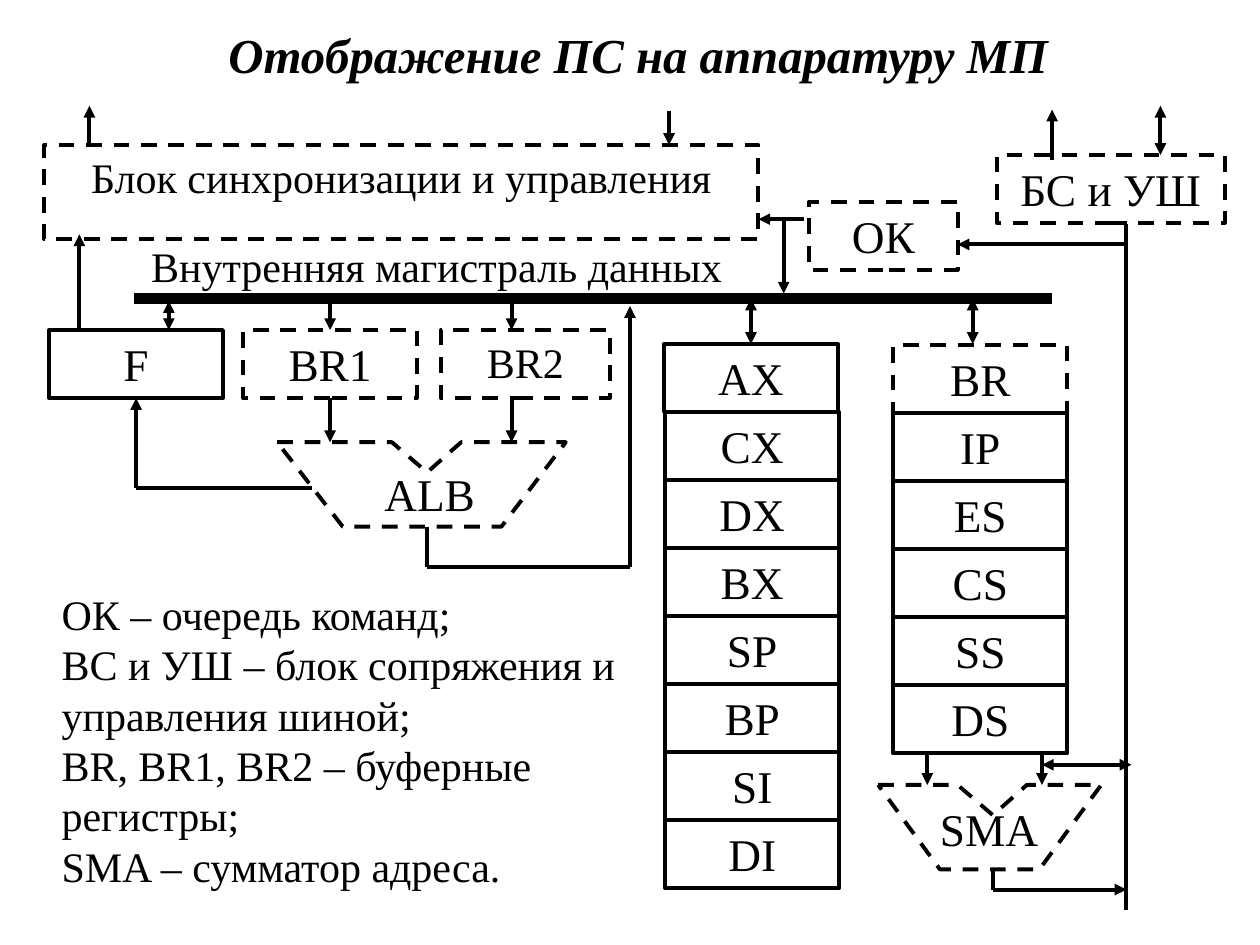
from dataclasses import dataclass
from typing import Optional

from pptx import Presentation
from pptx.dml.color import RGBColor
from pptx.enum.dml import MSO_LINE
from pptx.enum.shapes import MSO_CONNECTOR, MSO_SHAPE
from pptx.enum.text import MSO_ANCHOR, PP_ALIGN
from pptx.oxml.ns import qn
from pptx.util import Inches, Pt
from lxml import etree

RECT = MSO_SHAPE.RECTANGLE
STRAIGHT = MSO_CONNECTOR.STRAIGHT
DASH = MSO_LINE.DASH
CENTER, LEFT = PP_ALIGN.CENTER, PP_ALIGN.LEFT
TOP, MIDDLE = MSO_ANCHOR.TOP, MSO_ANCHOR.MIDDLE
COLORS = {"ink": "000000"}
FONT = "Times New Roman"
REG_W, REG_H = 1.38, 0.54


@dataclass
class Block:
    text: str
    x: float
    y: float
    w: float = REG_W
    h: float = REG_H
    dashed: bool = False
    size: float = 25.9


@dataclass
class Wire:
    x1: float
    y1: float
    x2: float
    y2: float
    head: bool = False
    tail: bool = False
    width: float = 2.25
    start: Optional[tuple[str, int]] = None
    end: Optional[tuple[str, int]] = None


@dataclass
class Label:
    text: str
    x: float
    y: float
    w: float = REG_W
    h: float = REG_H
    size: float = 25.9
    align: PP_ALIGN = CENTER
    anchor: MSO_ANCHOR = TOP
    title: bool = False


def register_stack(names: list[str], x: float, y: float) -> list[Block]:
    """Place registers one under another."""
    return [Block(name, x, y + i * REG_H) for i, name in enumerate(names)]


BLOCKS = [
    *register_stack(["AX"], 5.27, 2.73),
    *register_stack(["CX", "DX", "BX", "SP", "BP", "SI", "DI"], 5.28, 3.27),
    *register_stack(["IP", "ES", "CS", "SS", "DS"], 7.09, 3.28),
    Block("BR", 7.09, 2.74, dashed=True),
    Block("F", 0.39, 2.62),
    Block("BR1", 1.93, 2.62, dashed=True),
    Block("BR2", 3.5, 2.62, w=1.34, dashed=True, size=24),
    Block("ОК", 6.42, 1.6, w=1.18, dashed=True),
    Block("БС и УШ", 7.91, 1.23, w=1.81, dashed=True),
    Block("Блок синхронизации и управления", 0.35, 1.15, 5.67, 0.75, True, 24),
]

WIRES = [
    Wire(8.35, 2.37, 1.06, 2.37, width=6),
    Wire(0.71, 1.15, 0.71, 0.84, tail=True),
    Wire(5.31, 0.88, 5.31, 1.15, tail=True),
    Wire(8.35, 1.27, 8.35, 0.87, tail=True),
    Wire(9.21, 0.84, 9.21, 1.23, head=True, tail=True),
    Wire(8.94, 1.78, 8.94, 7.22),
    Wire(8.94, 1.94, 7.6, 1.94, tail=True),
    Wire(6.38, 1.74, 6.02, 1.74, tail=True),
    Wire(6.22, 1.74, 6.22, 2.33, tail=True),
    Wire(0.63, 2.61, 0.63, 1.86, tail=True),
    Wire(1.34, 2.39, 1.34, 2.62, head=True, tail=True),
    Wire(2.62, 2.39, 2.62, 2.62, tail=True, end=("BR1", 0)),
    Wire(4.06, 2.39, 4.06, 2.62, tail=True),
    Wire(5.96, 2.37, 5.96, 2.73, head=True, tail=True, end=("AX", 0)),
    Wire(7.72, 2.37, 7.72, 2.73, head=True, tail=True),
    Wire(2.62, 3.16, 2.62, 3.51, tail=True, start=("BR1", 2)),
    Wire(4.06, 3.16, 4.06, 3.51, tail=True),
    Wire(1.08, 3.87, 2.48, 3.87),
    Wire(1.08, 3.87, 1.08, 3.16, tail=True, end=("F", 2)),
    Wire(3.39, 4.18, 3.39, 4.5),
    Wire(3.39, 4.5, 5, 4.5),
    Wire(5, 2.43, 5, 4.5, head=True),
    Wire(7.36, 5.99, 7.36, 6.23, tail=True),
    Wire(8.27, 5.99, 8.27, 6.23, tail=True),
    Wire(8.27, 6.07, 8.98, 6.07, head=True, tail=True),
    Wire(7.88, 6.9, 7.88, 7.06),
    Wire(7.88, 7.06, 8.94, 7.06, tail=True),
]

ADDERS = [
    [(2.2, 3.51), (3.11, 3.51), (3.39, 3.75), (3.66, 3.51),
     (4.49, 3.51), (3.98, 4.18), (2.72, 4.18)],
    [(6.97, 6.23), (7.6, 6.23), (7.88, 6.47), (8.15, 6.23),
     (8.74, 6.23), (8.25, 6.9), (7.46, 6.9)],
]

LEGEND = "\n".join([
    "ОК – очередь команд;",
    "ВС и УШ – блок сопряжения и управления шиной;",
    "BR, BR1, BR2 – буферные регистры;",
    "SMA – сумматор адреса.",
])

LABELS = [
    Label("Отображение ПС на аппаратуру МП", 0.2, 0.13, 9.73, 0.59, 27.9,
          anchor=MIDDLE, title=True),
    Label(LEGEND, 0.39, 4.62, 4.88, 2.64, 24, LEFT),
    Label("Внутренняя магистраль данных", 0.67, 1.86, 5.59, size=24),
    Label("ALB", 2.72, 3.65),
    Label("SMA", 7.16, 6.31),
]


def ink() -> RGBColor:
    """Return the drawing colour."""
    return RGBColor.from_string(COLORS["ink"])


def style_line(line, width: float = 2.25, dashed: bool = False) -> None:
    """Give a line its colour, width and dash."""
    line.color.rgb = ink()
    line.width = Pt(width)
    if dashed:
        line.dash_style = DASH


def write(tf, text: str, size: float, align=CENTER, anchor=TOP, title=False) -> None:
    """Fill a text frame and format its runs."""
    tf.word_wrap = True
    tf.vertical_anchor = anchor
    tf.text = text
    for p in tf.paragraphs:
        p.alignment = align
        for r in p.runs:
            r.font.name, r.font.size = FONT, Pt(size)
            r.font.color.rgb = ink()
            r.font.bold = r.font.italic = title


def draw_block(s, block: Block):
    """Draw a register or unit box."""
    sp = s.shapes.add_shape(RECT, *map(Inches, (block.x, block.y, block.w, block.h)))
    sp.shadow.inherit = False
    sp.fill.background()
    style_line(sp.line, dashed=block.dashed)
    write(sp.text_frame, block.text, block.size)
    return sp


def draw_wire(s, wire: Wire, boxes: dict) -> None:
    """Draw a straight wire with its arrowheads and joins."""
    ends = map(Inches, (wire.x1, wire.y1, wire.x2, wire.y2))
    cx = s.shapes.add_connector(STRAIGHT, *ends)
    style_line(cx.line, wire.width)
    ln = cx.line._get_or_add_ln()
    for tag, shown in (("a:headEnd", wire.head), ("a:tailEnd", wire.tail)):
        if shown:
            etree.SubElement(ln, qn(tag), type="triangle")
    etree.SubElement(cx._element.spPr, qn("a:effectLst"))
    if wire.start:
        cx.begin_connect(boxes[wire.start[0]], wire.start[1])
    if wire.end:
        cx.end_connect(boxes[wire.end[0]], wire.end[1])


def draw_adder(s, points: list[tuple[float, float]]) -> None:
    """Draw a notched adder outline."""
    corners = [(Inches(x), Inches(y)) for x, y in points]
    builder = s.shapes.build_freeform(*corners[0])
    builder.add_line_segments(corners[1:], close=True)
    sp = builder.convert_to_shape()
    sp.shadow.inherit = False
    sp.fill.background()
    style_line(sp.line, dashed=True)


def draw_label(s, label: Label) -> None:
    """Draw a free text box."""
    box = s.shapes.add_textbox(*map(Inches, (label.x, label.y, label.w, label.h)))
    write(box.text_frame, label.text, label.size, label.align, label.anchor, label.title)


def main() -> None:
    """Build the slide and save it."""
    prs = Presentation()
    prs.slide_width, prs.slide_height = Inches(10), Inches(7.5)
    s = prs.slides.add_slide(prs.slide_layouts[6])
    boxes = {block.text: draw_block(s, block) for block in BLOCKS}
    for wire in WIRES:
        draw_wire(s, wire, boxes)
    for points in ADDERS:
        draw_adder(s, points)
    for label in LABELS:
        draw_label(s, label)
    prs.save("out.pptx")


if __name__ == "__main__":
    main()
